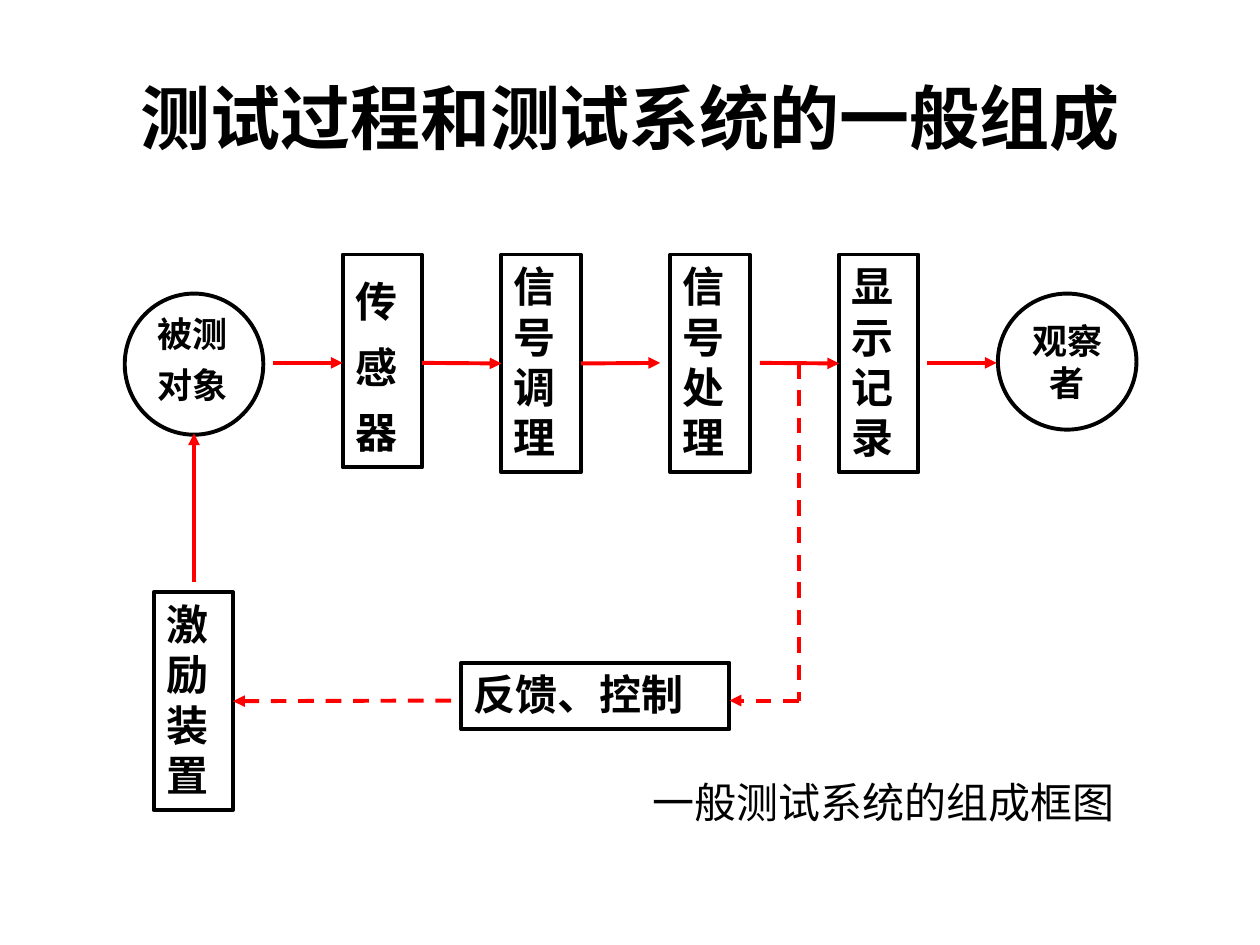
from dataclasses import dataclass
from typing import Optional

from lxml import etree
from pptx import Presentation
from pptx import util as u
from pptx.dml.color import RGBColor
from pptx.enum import dml, shapes, text
from pptx.oxml import ns

COLORS = {"ink": "000000", "arrow": "FF0000", "background": "FFFFFF"}
LEFT, RIGHT = 1, 3
RECTANGLE = shapes.MSO_SHAPE.RECTANGLE
OVAL = shapes.MSO_SHAPE.OVAL
ROW_TOP, ROW_AXIS, FEEDBACK_AXIS, BRANCH_X = 2.02, 2.88, 5.56, 6.34
BOX_WIDTH, BOX_HEIGHT = 0.63, 1.73


@dataclass
class Block:
    key: str
    lines: tuple[str, ...]
    left: float
    top: float
    width: float = BOX_WIDTH
    height: float = BOX_HEIGHT
    kind: shapes.MSO_SHAPE = RECTANGLE
    size: int = 24
    spacing: float = 1.0
    align: text.PP_ALIGN = text.PP_ALIGN.LEFT


@dataclass
class Arrow:
    start: tuple[float, float]
    end: tuple[float, float]
    source: Optional[str] = None
    target: Optional[str] = None
    dashed: bool = False
    head: bool = True


BLOCKS = [
    Block("object", ("被测", "对象"), 0.99, 2.33, 1.1, 1.12, OVAL, 20, 0.8),
    Block("sensor", ("传感器",), 2.72, ROW_TOP, height=1.69, spacing=1.3),
    Block("conditioning", ("信号调理",), 3.98, ROW_TOP),
    Block("processing", ("信号处理",), 5.32, ROW_TOP),
    Block("display", ("显示记录",), 6.66, ROW_TOP),
    Block("observer", ("观察者",), 7.92, 2.33, 1.1, 1.08, OVAL, 20,
          align=text.PP_ALIGN.CENTER),
    Block("excitation", ("激励装置",), 1.22, 4.7),
    Block("feedback", ("反馈、控制",), 3.66, 5.26, 2.13, 0.53),
]

ARROWS = [
    Arrow((2.17, ROW_AXIS), (2.72, ROW_AXIS)),
    Arrow((3.35, ROW_AXIS), (3.98, ROW_AXIS), target="conditioning"),
    Arrow((4.61, ROW_AXIS), (5.24, ROW_AXIS), source="conditioning"),
    Arrow((6.03, ROW_AXIS), (6.66, ROW_AXIS), target="display"),
    Arrow((7.36, ROW_AXIS), (7.91, ROW_AXIS)),
    Arrow((3.58, FEEDBACK_AXIS), (1.85, FEEDBACK_AXIS), target="excitation", dashed=True),
    Arrow((BRANCH_X, ROW_AXIS), (BRANCH_X, FEEDBACK_AXIS), dashed=True, head=False),
    Arrow((BRANCH_X, FEEDBACK_AXIS), (5.79, FEEDBACK_AXIS), dashed=True),
    Arrow((1.54, 4.62), (1.54, 3.44)),
]


def color(key: str) -> RGBColor:
    return RGBColor.from_string(COLORS[key])


def write(paragraph, content: str, size: int, font: str = "Arial", bold: bool = True) -> None:
    run = paragraph.add_run()
    run.text = content
    run.font.name = font
    run.font.size = u.Pt(size)
    run.font.bold = bold
    run.font.color.rgb = color("ink")


def draw_block(slide, block: Block):
    shape = slide.shapes.add_shape(
        block.kind, u.Inches(block.left), u.Inches(block.top),
        u.Inches(block.width), u.Inches(block.height))
    shape.shadow.inherit = False
    shape.fill.background()
    shape.line.color.rgb = color("ink")
    shape.line.width = u.Pt(2.25)
    frame = shape.text_frame
    frame.word_wrap = True
    frame.auto_size = text.MSO_AUTO_SIZE.SHAPE_TO_FIT_TEXT
    frame.vertical_anchor = text.MSO_ANCHOR.TOP
    for index, line in enumerate(block.lines):
        paragraph = frame.add_paragraph() if index else frame.paragraphs[0]
        paragraph.alignment = block.align
        paragraph.line_spacing = block.spacing
        paragraph.space_before = u.Pt(block.size / 2 if index else 0)
        write(paragraph, line, block.size)
    return shape


def draw_arrow(slide, arrow: Arrow, blocks: dict) -> None:
    points = [u.Inches(value) for value in arrow.start + arrow.end]
    connector = slide.shapes.add_connector(shapes.MSO_CONNECTOR.STRAIGHT, *points)
    if arrow.source:
        connector.begin_connect(blocks[arrow.source], RIGHT)
    if arrow.target:
        forward = arrow.end[0] > arrow.start[0]
        connector.end_connect(blocks[arrow.target], LEFT if forward else RIGHT)
    connector.line.color.rgb = color("arrow")
    connector.line.width = u.Pt(2.25)
    if arrow.dashed:
        connector.line.dash_style = dml.MSO_LINE.DASH
    properties = connector._element.spPr
    if arrow.head:
        line = properties.find(ns.qn("a:ln"))
        etree.SubElement(line, ns.qn("a:tailEnd"), type="triangle")
    etree.SubElement(properties, ns.qn("a:effectLst"))


def add_text_frame(slide, left: float, top: float, width: float, height: float):
    box = slide.shapes.add_textbox(
        u.Inches(left), u.Inches(top), u.Inches(width), u.Inches(height))
    return box.text_frame


def main() -> None:
    presentation = Presentation()
    presentation.slide_width = u.Inches(10)
    presentation.slide_height = u.Inches(7.5)
    slide = presentation.slides.add_slide(presentation.slide_layouts[6])
    slide.background.fill.solid()
    slide.background.fill.fore_color.rgb = color("background")

    title = add_text_frame(slide, 0.5, 0.3, 9, 1.25)
    title.word_wrap = True
    title.vertical_anchor = text.MSO_ANCHOR.MIDDLE
    title.paragraphs[0].alignment = text.PP_ALIGN.CENTER
    write(title.paragraphs[0], "测试过程和测试系统的一般组成", 40, "Times New Roman")

    blocks = {block.key: draw_block(slide, block) for block in BLOCKS}
    for arrow in ARROWS:
        draw_arrow(slide, arrow, blocks)

    caption = add_text_frame(slide, 5.08, 6.11, 3.87, 0.5)
    caption.word_wrap = False
    caption.auto_size = text.MSO_AUTO_SIZE.SHAPE_TO_FIT_TEXT
    write(caption.paragraphs[0], "一般测试系统的组成框图", 24, bold=False)

    presentation.save("out.pptx")


if __name__ == "__main__":
    main()
